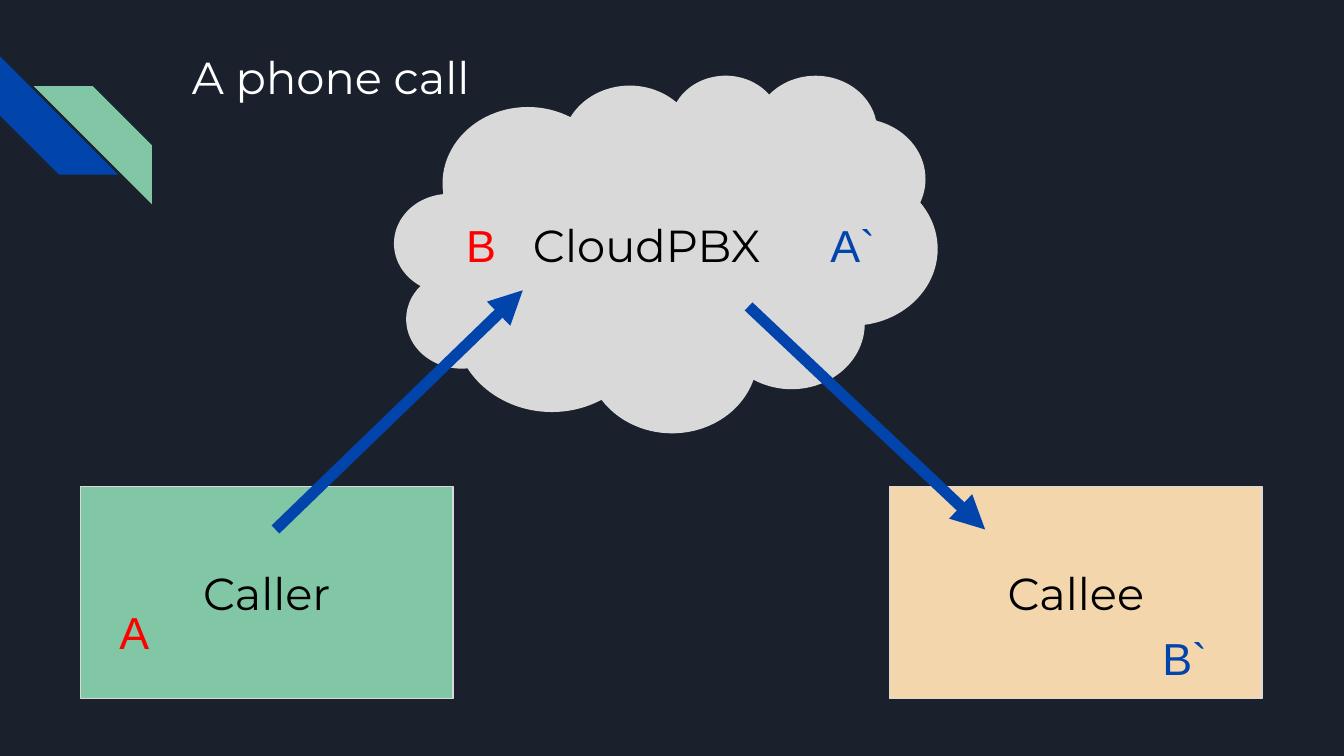
from lxml import etree
from pptx import Presentation
from pptx.dml.color import RGBColor
from pptx.enum.shapes import MSO_CONNECTOR as Connector, MSO_SHAPE as Shape
from pptx.enum.text import MSO_ANCHOR as Anchor, PP_ALIGN as Align
from pptx.oxml.ns import qn
from pptx.util import Inches, Pt

NAVY = RGBColor(0x1B, 0x21, 0x2C)
BLUE = RGBColor(0x01, 0x45, 0xAC)
GREEN = RGBColor(0x82, 0xC7, 0xA5)
SAND = RGBColor(0xF4, 0xD6, 0xAD)
GREY = RGBColor(0xD9, 0xD9, 0xD9)
RED = RGBColor(0xFF, 0x00, 0x00)
BLACK = RGBColor(0x00, 0x00, 0x00)
WHITE = RGBColor(0xFF, 0xFF, 0xFF)

TITLE = ("A phone call", (1.33, 0.27, 3.26, 0.74))
STRIPES = [
    ((0, 0.42, 0.88, 0.88), BLUE, 270),
    ((0.25, 0.64, 0.88, 0.88), GREEN, 90),
]
NODES = [
    ("Caller", Shape.RECTANGLE, (0.6, 3.62, 2.77, 1.58), GREEN),
    ("Callee", Shape.RECTANGLE, (6.62, 3.62, 2.77, 1.58), SAND),
    ("CloudPBX", Shape.CLOUD, (2.94, 0.56, 4.03, 2.65), GREY),
]
CALL_LEGS = [
    ((2.05, 3.94), (3.89, 2.16)),
    ((5.57, 2.28), (7.33, 3.94)),
]
CHANNELS = [
    ("A", (0.79, 4.4, 0.44, 0.55), RED),
    ("B", (3.37, 1.52, 0.44, 0.55), RED),
    ("A`", (6.08, 1.52, 0.72, 0.55), BLUE),
    ("B`", (8.55, 4.59, 0.72, 0.55), BLUE),
]


def inches(values):
    return [Inches(value) for value in values]


def write(box, text, color, font="Montserrat", align=Align.LEFT, anchor=Anchor.TOP):
    frame = box.text_frame
    frame.word_wrap = True
    frame.vertical_anchor = anchor
    frame.margin_left = frame.margin_right = Inches(0.1)
    frame.margin_top = frame.margin_bottom = Inches(0.1)
    para = frame.paragraphs[0]
    para.alignment = align
    span = para.add_run()
    span.text = text
    span.font.name = font
    span.font.size = Pt(24)
    span.font.color.rgb = color


def add_filled(page, kind, place, color):
    shape = page.shapes.add_shape(kind, *inches(place))
    shape.shadow.inherit = False
    shape.fill.solid()
    shape.fill.fore_color.rgb = color
    return shape


def add_stripe(page, place, color, rotation):
    stripe = add_filled(page, Shape.DIAGONAL_STRIPE, place, color)
    stripe.line.fill.background()
    stripe.rotation = rotation


def add_node(page, text, kind, place, color):
    node = add_filled(page, kind, place, color)
    node.line.color.rgb = GREY
    node.line.width = Pt(0.75)
    write(node, text, BLACK, align=Align.CENTER, anchor=Anchor.MIDDLE)


def add_arrow(page, start, end):
    arrow = page.shapes.add_connector(Connector.STRAIGHT, *inches(start + end))
    arrow.line.color.rgb = BLUE
    arrow.line.width = Pt(6)
    properties = arrow._element.spPr
    etree.SubElement(properties.find(qn("a:ln")), qn("a:tailEnd"), type="triangle")
    etree.SubElement(properties, qn("a:effectLst"))


def add_label(page, text, place, color, **style):
    write(page.shapes.add_textbox(*inches(place)), text, color, **style)


def main():
    deck = Presentation()
    deck.slide_width = Inches(10)
    deck.slide_height = deck.slide_width * 9 // 16
    page = deck.slides.add_slide(deck.slide_layouts[6])
    page.background.fill.solid()
    page.background.fill.fore_color.rgb = NAVY

    for stripe in STRIPES:
        add_stripe(page, *stripe)
    add_label(page, *TITLE, WHITE)
    for node in NODES:
        add_node(page, *node)
    for leg in CALL_LEGS:
        add_arrow(page, *leg)
    for channel in CHANNELS:
        add_label(page, *channel, font="Arial")

    deck.save("out.pptx")


if __name__ == "__main__":
    main()
